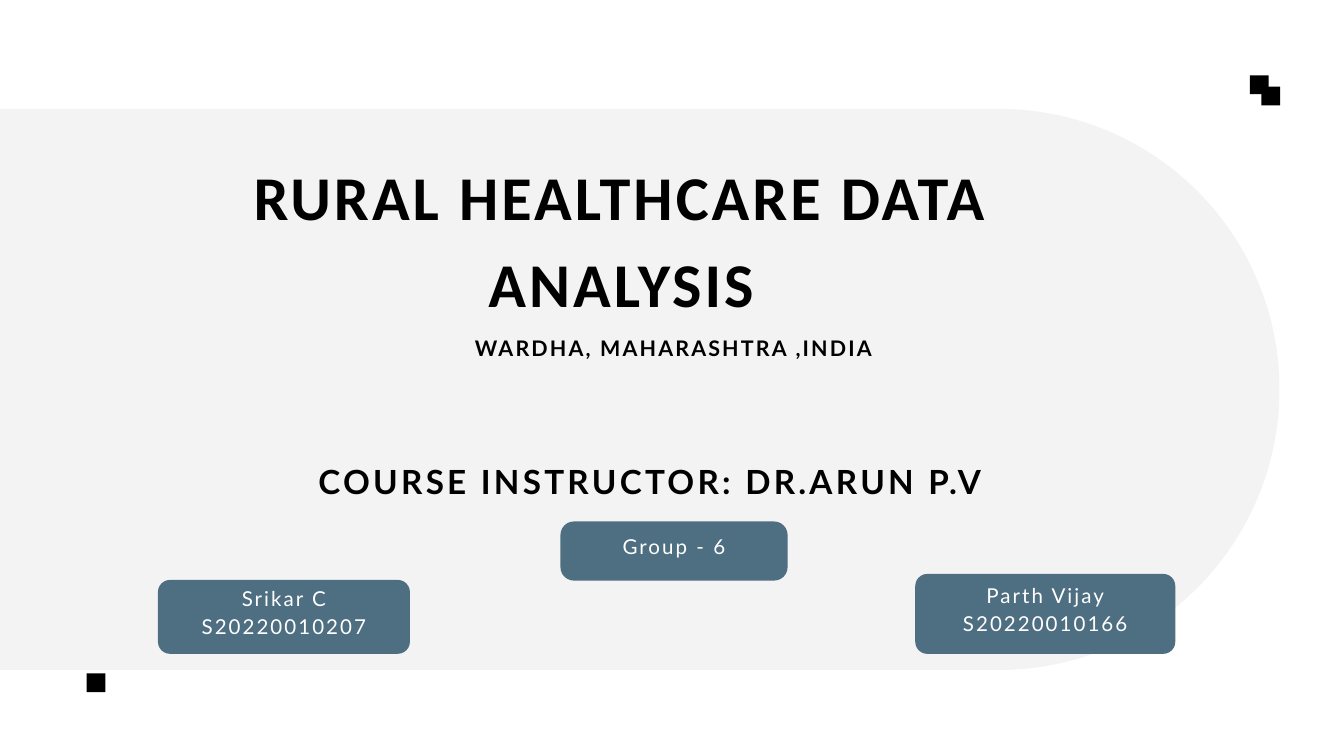
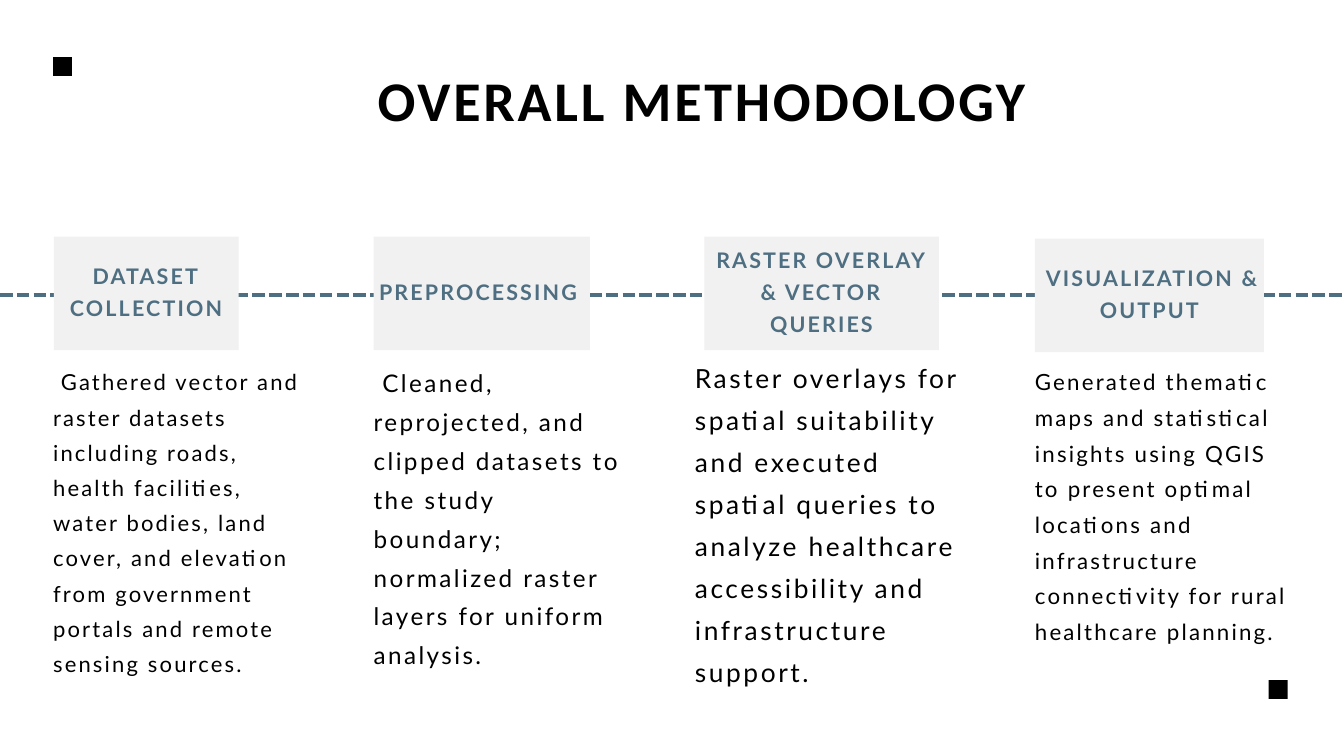
"""Build the title and methodology slides of a rural healthcare data analysis deck."""
from dataclasses import dataclass

from lxml.etree import SubElement
from pptx import Presentation
from pptx.dml.color import RGBColor
from pptx.enum.dml import MSO_LINE
from pptx.enum.shapes import MSO_CONNECTOR, MSO_SHAPE as SHAPE
from pptx.enum.text import MSO_ANCHOR, PP_ALIGN as ALIGN
from pptx.oxml.ns import qn
from pptx.util import Inches, Pt


@dataclass(frozen=True)
class Theme:
    ink: str = "000000"
    paper: str = "FFFFFF"
    mist: str = "F2F1F1"
    slate: str = "4E6E81"
    title_font: str = "Calibri"
    text_font: str = "Lato"
    cover_title: tuple = (66.7, 3.3)
    page_title: tuple = (60, 3)
    instructor: tuple = (35.6, 3.5)
    label: tuple = (23, 2.3)
    badge: tuple = (22, 2.2)
    body: tuple = ((23.57, 2.35), (26, 2.6), (28.2, 2.82), (23.9, 2.39))
    tight: float = 1.4
    medium: float = 1.5
    loose: float = 1.6
    marker: float = 0.28


theme = Theme()


def add_block(page, kind, place, color):
    block = page.shapes.add_shape(kind, *map(Inches, place))
    block.shadow.inherit = False
    block.fill.solid()
    block.fill.fore_color.rgb = RGBColor.from_string(color)
    block.line.fill.background()
    return block


def write(box, text, style, color=theme.ink, bold=False, align=ALIGN.CENTER,
          leading=theme.tight, font=theme.text_font,
          insets=(0, 0, 0, 0), anchor=MSO_ANCHOR.TOP):
    size, tracking = style
    frame = box.text_frame
    frame.word_wrap = True
    frame.vertical_anchor = anchor
    (frame.margin_left, frame.margin_top,
     frame.margin_right, frame.margin_bottom) = map(Inches, insets)
    frame.text = text
    for para in frame.paragraphs:
        para.alignment = align
        para.line_spacing = Pt(round(size * leading, 1))
        for span in para.runs:
            span.font.name = font
            span.font.size = Pt(size)
            span.font.bold = bold
            span.font.color.rgb = RGBColor.from_string(color)
            span._r.get_or_add_rPr().set("spc", str(round(tracking * 100)))


deck = Presentation()
deck.slide_width, deck.slide_height = Inches(20), Inches(11.25)
cover, methodology = [deck.slides.add_slide(deck.slide_layouts[6]) for _ in range(2)]

band = add_block(cover, SHAPE.ROUNDED_RECTANGLE, (-4.15, 1.62, 23.19, 8.35), theme.mist)
band.adjustments[0] = 0.5
band_color = band._element.spPr.find(qn("a:solidFill"))[0]
SubElement(band_color, qn("a:alpha")).set("val", "80000")

title = cover.shapes.add_textbox(*map(Inches, (1.73, 2.17, 15.03, 2.6)))
write(title, "RURAL HEALTHCARE DATA ANALYSIS", theme.cover_title, bold=True,
      font=theme.title_font)
location = cover.shapes.add_textbox(*map(Inches, (6.91, 4.92, 6.23, 0.43)))
write(location, "WARDHA, MAHARASHTRA ,INDIA", theme.label, bold=True)
instructor = cover.shapes.add_textbox(*map(Inches, (4.31, 6.76, 10.73, 0.66)))
write(instructor, "COURSE INSTRUCTOR: DR.ARUN P.V", theme.instructor, bold=True)

badges = [
    ("Srikar C\nS20220010207", (2.35, 8.63, 3.75, 1.1), 0.18),
    ("Parth Vijay\nS20220010166", (13.62, 8.54, 3.87, 1.19), 0.18),
    ("Group - 6", (8.34, 7.76, 3.38, 0.88), 0.2),
]
for text, place, radius in badges:
    badge = add_block(cover, SHAPE.ROUNDED_RECTANGLE, place, theme.slate)
    badge.adjustments[0] = radius / place[3]
    write(badge, text, theme.badge, theme.paper,
          insets=(0.06, 0, 0.06, 0.2), anchor=MSO_ANCHOR.MIDDLE)

timeline = methodology.shapes.add_connector(
    MSO_CONNECTOR.STRAIGHT, 0, Inches(4.39), deck.slide_width, Inches(4.39))
timeline.line.color.rgb = RGBColor.from_string(theme.slate)
timeline.line.width = Pt(4.5)
timeline.line.dash_style = MSO_LINE.SQUARE_DOT
SubElement(timeline._element.spPr, qn("a:effectLst"))

heading = methodology.shapes.add_textbox(*map(Inches, (1.65, 0.81, 17.36, 1.18)))
write(heading, " OVERALL METHODOLOGY", theme.page_title, bold=True,
      font=theme.title_font)

steps = [
    ("DATASET COLLECTION", (0.8, 3.52, 2.75, 1.69),
     " Gathered vector and raster datasets including roads, health facilities, "
     "water bodies, land cover, and elevation from government portals and remote "
     "sensing sources.", (0.79, 5.36, 3.72, 4.59)),
    ("PREPROCESSING ", (5.56, 3.52, 3.22, 1.69),
     " Cleaned, reprojected, and clipped datasets to the study boundary; "
     "normalized raster layers for uniform analysis.", (5.56, 5.34, 3.71, 4.51)),
    ("RASTER OVERLAY & VECTOR QUERIES", (10.48, 3.52, 3.49, 1.69),
     "Raster overlays for spatial suitability and executed spatial queries to "
     "analyze healthcare accessibility and infrastructure support.",
     (10.34, 5.23, 4.19, 4.9)),
    (" VISUALIZATION & OUTPUT", (15.4, 3.55, 3.41, 1.69),
     "Generated thematic maps and statistical insights using QGIS to present "
     "optimal locations and infrastructure connectivity for rural healthcare "
     "planning.", (15.4, 5.35, 3.81, 4.14)),
]
for (name, card_place, detail, detail_place), style in zip(steps, theme.body):
    card = add_block(methodology, SHAPE.RECTANGLE, card_place, theme.mist)
    write(card, name, theme.label, theme.slate, bold=True, leading=theme.medium,
          insets=(0.06, 0, 0.06, 0.14), anchor=MSO_ANCHOR.MIDDLE)
    description = methodology.shapes.add_textbox(*map(Inches, detail_place))
    write(description, detail, style, align=ALIGN.LEFT, leading=theme.loose)

markers = [
    (cover, 18.6, 1.12), (cover, 18.77, 1.29), (cover, 1.29, 10.02),
    (methodology, 18.88, 10.12), (methodology, 0.79, 0.85),
]
for page, left, top in markers:
    add_block(page, SHAPE.RECTANGLE, (left, top, theme.marker, theme.marker), theme.ink)

deck.save("out.pptx")
